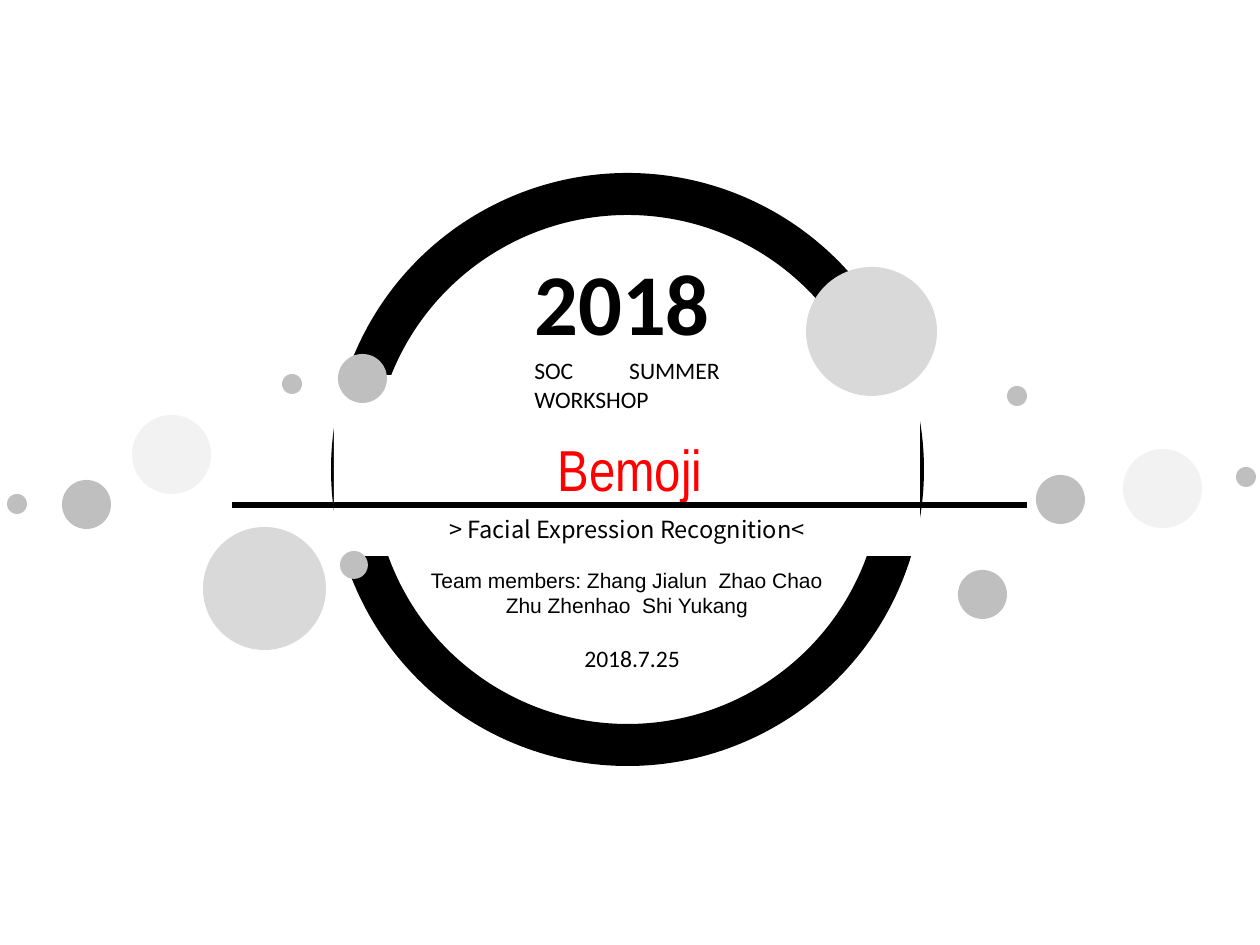
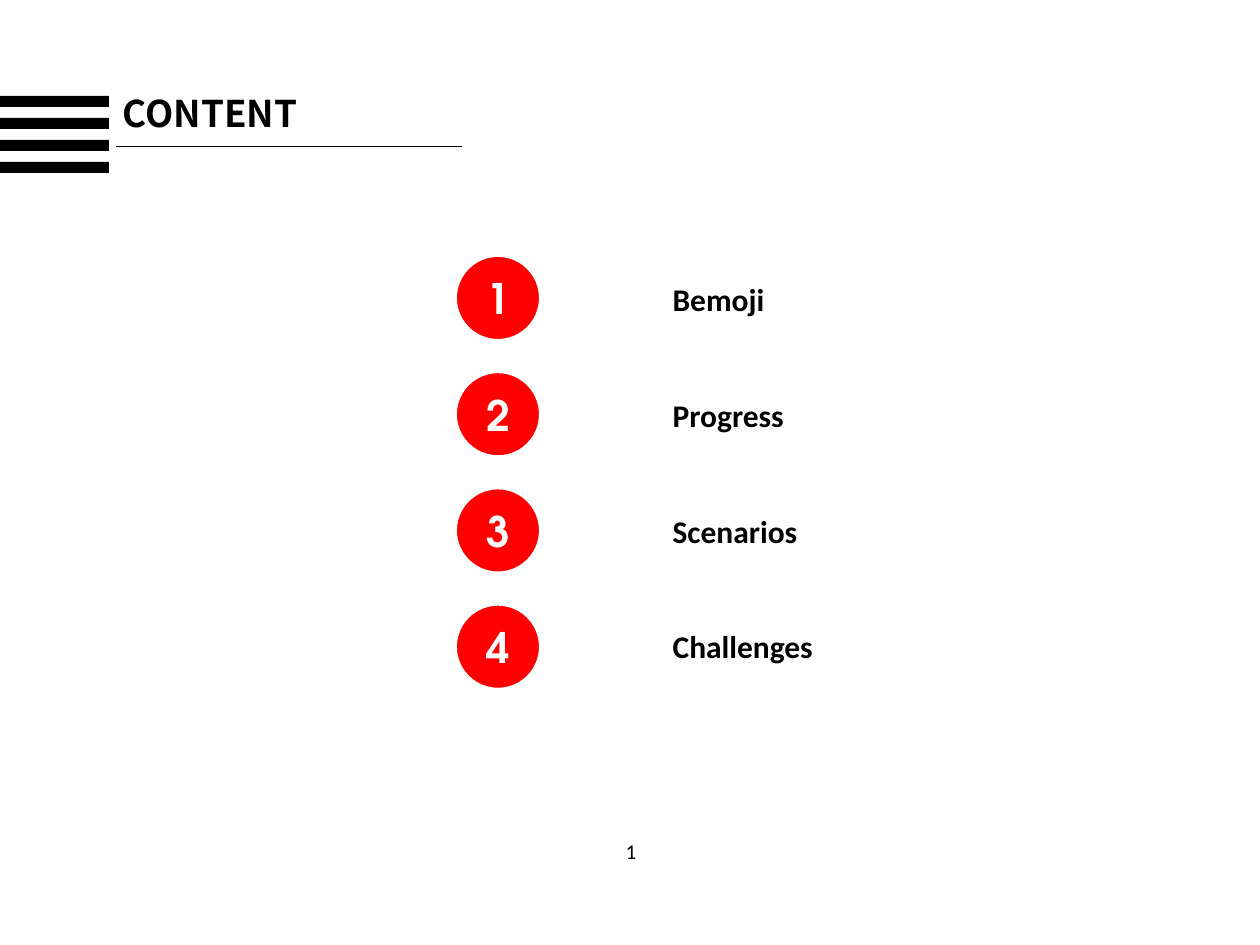
from collections import namedtuple
from dataclasses import dataclass

from lxml.etree import SubElement
from pptx import Presentation
from pptx.dml.color import RGBColor
from pptx.enum.shapes import MSO_CONNECTOR, MSO_SHAPE
from pptx.enum.text import MSO_ANCHOR, MSO_AUTO_SIZE, PP_ALIGN
from pptx.oxml.ns import qn
from pptx.util import Pt

SCALE = 914400 / 126  # EMU in one pixel


@dataclass(frozen=True)
class Theme:
    """Colours, fonts and type sizes shared by the slides."""
    ink: str = "000000"
    paper: str = "FFFFFF"
    accent: str = "FF0000"
    pale: str = "F2F2F2"
    light: str = "D9D9D9"
    mid: str = "BFBFBF"
    body: str = "Calibri"
    heading: str = "Noto Sans CJK SC"
    name: str = "Arial Narrow"
    plain: str = "Arial"
    numeral: str = "TeX Gyre Adventor"
    year_size: float = 49.5
    name_size: float = 33
    badge_size: float = 24
    heading_size: float = 21
    item_size: float = 18
    caption_size: float = 13.5
    small_size: float = 12


THEME = Theme()


class Box(namedtuple("Box", "x y w h")):
    """A rectangle in pixels."""

    def at(self, dx, dy, w, h):
        """Return a box offset from this one's top left corner."""
        return Box(self.x + dx, self.y + dy, w, h)

    def emu(self):
        """Return the four lengths in EMU."""
        return [round(length * SCALE) for length in self]


def rgb(colour):
    """Return a colour object for a hex string."""
    return RGBColor.from_string(colour)


def add_figure(slide, kind, box, fill=None, line=None, weight=1):
    """Draw a preset shape with flat fill and outline."""
    figure = slide.shapes.add_shape(kind, *box.emu())
    figure.shadow.inherit = False
    if fill:
        figure.fill.solid()
        figure.fill.fore_color.rgb = rgb(fill)
    else:
        figure.fill.background()
    if line:
        figure.line.color.rgb = rgb(line)
        figure.line.width = Pt(weight)
    else:
        figure.line.fill.background()
    return figure


def add_rule(slide, x, y, length, weight):
    """Draw a horizontal line."""
    start, level, end, _ = Box(x, y, x + length, y).emu()
    rule = slide.shapes.add_connector(MSO_CONNECTOR.STRAIGHT, start, level, end, level)
    rule.line.color.rgb = rgb(THEME.ink)
    rule.line.width = Pt(weight)
    SubElement(rule.element.spPr, qn("a:effectLst"))


def write(holder, *lines, font=THEME.body, size=THEME.caption_size, colour=THEME.ink,
          bold=False, align=PP_ALIGN.LEFT, anchor=MSO_ANCHOR.TOP, leading=1.0, gap=0):
    """Fill a shape with formatted paragraphs."""
    frame = holder.text_frame
    frame.text = "\n".join(lines)
    frame.word_wrap = True
    frame.auto_size = MSO_AUTO_SIZE.NONE
    frame.vertical_anchor = anchor
    for paragraph in frame.paragraphs:
        paragraph.alignment = align
        paragraph.line_spacing = leading
        paragraph.space_before, paragraph.space_after = Pt(0), Pt(gap)
        face = paragraph.runs[0].font
        face.name, face.size, face.bold = font, Pt(size), bold
        face.color.rgb = rgb(colour)


def add_text(slide, box, *lines, **style):
    """Write lines in a new text box."""
    write(slide.shapes.add_textbox(*box.emu()), *lines, **style)


def place(holder, box):
    """Move a placeholder to a box, in front of what is drawn so far."""
    holder.left, holder.top, holder.width, holder.height = box.emu()
    holder.element.getparent().append(holder.element)
    return holder


def scatter_dots(slide, box):
    """Scatter grey discs on both sides of the cover."""
    groups = [
        (THEME.light, 123, [(203, 260)]),
        (THEME.pale, 79, [(132, 148), (1123, 182)]),
        (THEME.mid, 49, [(62, 213), (958, 303), (1036, 208)]),
        (THEME.mid, 20, [(282, 107), (7, 227), (1236, 200), (1007, 119)]),
    ]
    for fill, size, spots in groups:
        for dx, dy in spots:
            add_figure(slide, MSO_SHAPE.OVAL, box.at(dx, dy, size, size), fill)


def draw_ring(slide, box):
    """Draw the ring, cut by a white band and dotted with discs."""
    add_figure(slide, MSO_SHAPE.OVAL, box, line=THEME.ink, weight=24)
    add_figure(slide, MSO_SHAPE.RECTANGLE, box.at(-18, 181, 586, 181), THEME.paper)
    for fill, spot in [(THEME.light, (454, 73, 131, 129)),
                       (THEME.mid, (-14, 160, 49, 49)),
                       (THEME.mid, (-12, 357, 28, 28))]:
        add_figure(slide, MSO_SHAPE.OVAL, box.at(*spot), fill)


def write_cover(slide, box):
    """Write the cover texts inside the ring."""
    name, topic = slide.placeholders
    centre = PP_ALIGN.CENTER
    write(place(name, box.at(-150, 204, 856, 100)), "Bemoji", font=THEME.name,
          size=THEME.name_size, colour=THEME.accent, align=centre, leading=Pt(56.4))
    write(place(topic, box.at(-123, 315, 796, 42)), "> Facial Expression Recognition<",
          font=THEME.heading, align=centre)
    add_text(slide, box.at(52, 367, 446, 63),
             "Team members: Zhang Jialun  Zhao Chao Zhu Zhenhao  Shi Yukang",
             font=THEME.plain, size=THEME.small_size, align=centre)
    add_rule(slide, box.x - 120, box.y + 311, 795, 3)
    add_text(slide, box.at(170, 156, 210, 42), "SOC SUMMER WORKSHOP",
             align=PP_ALIGN.JUSTIFY)
    add_text(slide, box.at(170, 49, 210, 117), "2018", size=THEME.year_size,
             bold=True, align=PP_ALIGN.JUSTIFY)
    add_text(slide, box.at(220, 444, 222, 42), "2018.7.25")


def write_heading(slide, box, heading):
    """Draw the striped band, the slide title and its underline."""
    for stripe in range(4):
        add_figure(slide, MSO_SHAPE.RECTANGLE, box.at(0, stripe * 22, 109, 11), THEME.ink)
    write(place(slide.shapes.title, box.at(110, -12, 454, 70)), heading,
          font=THEME.heading, size=THEME.heading_size, bold=True)
    add_rule(slide, box.x + 116, box.y + 50, 346, 0.5)


def write_agenda(slide, box, items):
    """Write the agenda as a list beside numbered badges."""
    pitch, badge = box.h / len(items), 86
    for index in range(len(items)):
        disc = add_figure(slide, MSO_SHAPE.OVAL, box.at(0, index * pitch, badge, badge),
                          THEME.accent, THEME.paper, 2.25)
        write(disc, str(index + 1), font=THEME.numeral, size=THEME.badge_size,
              colour=THEME.paper, bold=True, align=PP_ALIGN.CENTER,
              anchor=MSO_ANCHOR.MIDDLE)
    agenda = place(slide.placeholders[1], box.at(205, 19, box.w - 205, box.h - 50))
    write(agenda, *items, size=THEME.item_size, bold=True, gap=44.5)
    for paragraph in agenda.text_frame.paragraphs:
        properties = paragraph._p.get_or_add_pPr()
        properties.set("marL", "0")
        properties.set("indent", "0")
        SubElement(properties, qn("a:buNone"))


def write_page_number(slide, box, number):
    """Write the page number at the foot."""
    add_text(slide, box, str(number), size=THEME.small_size, align=PP_ALIGN.CENTER)


def build():
    """Build both slides and save them."""
    deck = Presentation()
    _, _, deck.slide_width, deck.slide_height = Box(0, 0, 1260, 945).emu()

    cover = deck.slides.add_slide(deck.slide_layouts[0])
    ring = Box(352, 194, 551, 551)
    scatter_dots(cover, Box(0, 267, 1260, 384))
    draw_ring(cover, ring)
    write_cover(cover, ring)

    contents = deck.slides.add_slide(deck.slide_layouts[1])
    write_heading(contents, Box(0, 96, 564, 77), "CONTENT")
    write_agenda(contents, Box(455, 255, 400, 465),
                 ["Bemoji", "Progress", "Scenarios", "Challenges"])
    write_page_number(contents, Box(610, 832, 42, 38), 1)

    deck.save("out.pptx")


build()
